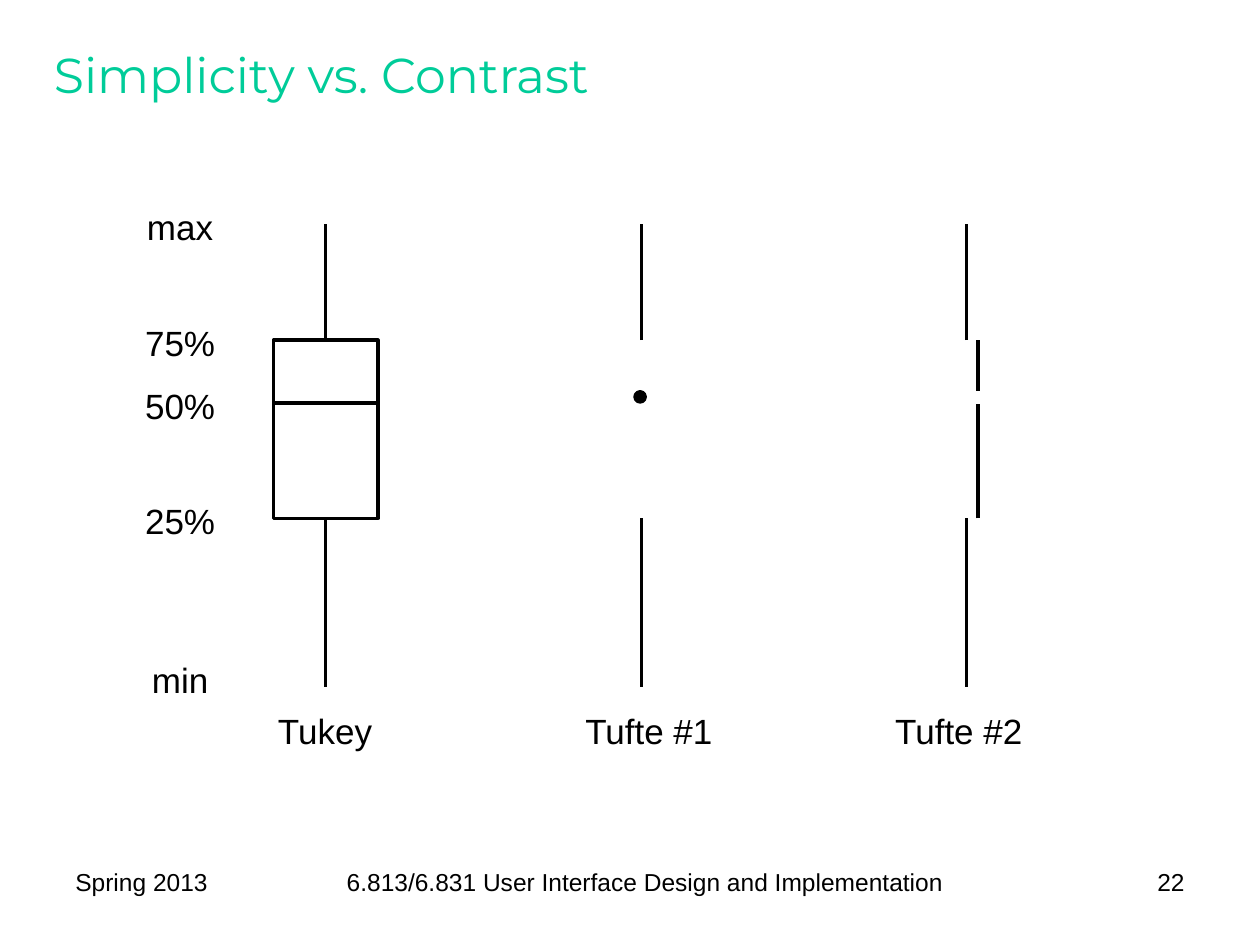
from dataclasses import dataclass

import pptx
import pptx.dml.color
import pptx.enum.shapes
import pptx.enum.text
import pptx.oxml.ns
import pptx.util
from lxml import etree

COLORS = {"title": "00CC99", "ink": "000000", "paper": "FFFFFF"}
LINE_WIDTH = pptx.util.Pt(2)
ALIGN = pptx.enum.text.PP_ALIGN
ANCHOR = pptx.enum.text.MSO_ANCHOR
SHAPE = pptx.enum.shapes.MSO_SHAPE

# The page is a grid of 100 columns by 75 rows
CELL = pptx.util.Inches(0.1)

# Rows of the five statistics, shared by all three plots
MAX, UPPER, MEDIAN, LOWER, MIN = 17.8, 27, 32, 41.15, 54.5
# Columns of the three plots
TUKEY, TUFTE_1, TUFTE_2 = 25.85, 50.9, 76.7
BOX_WIDTH = 8.3
LABEL_HEIGHT = 4.3


@dataclass(frozen=True)
class Label:
    text: str
    column: float
    row: float
    columns: float
    rows: float = LABEL_HEIGHT
    size: float = 20
    font: str = "Arial"
    color: str = "ink"
    align: ALIGN = ALIGN.CENTER
    anchor: ANCHOR = ANCHOR.TOP
    wrap: bool = False


@dataclass(frozen=True)
class Stroke:
    column: float
    start: float
    end: float


def cells(*counts: float) -> list[int]:
    return [round(count * CELL) for count in counts]


def rgb(name: str) -> pptx.dml.color.RGBColor:
    return pptx.dml.color.RGBColor.from_string(COLORS[name])


def draw_label(page, label: Label) -> None:
    box = page.shapes.add_textbox(
        *cells(label.column, label.row, label.columns, label.rows))
    frame = box.text_frame
    frame.word_wrap = label.wrap
    frame.vertical_anchor = label.anchor
    para = frame.paragraphs[0]
    para.text = label.text
    para.alignment = label.align
    para.font.name = label.font
    para.font.size = pptx.util.Pt(label.size)
    para.font.color.rgb = rgb(label.color)


def draw_line(page, x1: float, y1: float, x2: float, y2: float):
    line = page.shapes.add_connector(
        pptx.enum.shapes.MSO_CONNECTOR.STRAIGHT, *cells(x1, y1, x2, y2))
    line.line.color.rgb = rgb("ink")
    line.line.width = LINE_WIDTH
    etree.SubElement(line._element.spPr, pptx.oxml.ns.qn("a:effectLst"))
    return line


def draw_stroke(page, stroke: Stroke):
    return draw_line(page, stroke.column, stroke.start, stroke.column, stroke.end)


def draw_shape(page, kind: SHAPE, center: float, top: float,
               width: float, height: float, fill: str):
    shape = page.shapes.add_shape(
        kind, *cells(center - width / 2, top, width, height))
    shape.shadow.inherit = False
    shape.fill.solid()
    shape.fill.fore_color.rgb = rgb(fill)
    shape.line.color.rgb = rgb("ink")
    shape.line.width = LINE_WIDTH
    return shape


def main() -> None:
    deck = pptx.Presentation()
    deck.slide_width, deck.slide_height = cells(100, 75)
    page = deck.slides.add_slide(deck.slide_layouts[6])

    # Title and footer
    footer = dict(row=68.3, rows=5.2, size=14, wrap=True)
    frame_labels = [
        Label("Simplicity vs. Contrast", 3.3, 1.7, 92.5, 8.3, 28, "Montserrat",
              "title", ALIGN.LEFT, ANCHOR.MIDDLE, True),
        Label("Spring 2013", 5, columns=15, align=ALIGN.LEFT, **footer),
        Label("6.813/6.831 User Interface Design and Implementation",
              20.8, columns=60.8, **footer),
        Label("22", 82.5, columns=12.5, align=ALIGN.RIGHT, **footer),
    ]
    for label in frame_labels:
        draw_label(page, label)

    # Tukey's box with its median
    quartiles = draw_shape(page, SHAPE.RECTANGLE, TUKEY, UPPER,
                           BOX_WIDTH, LOWER - UPPER, "paper")
    draw_line(page, TUKEY - BOX_WIDTH / 2, MEDIAN, TUKEY + BOX_WIDTH / 2, MEDIAN)

    # Whiskers of every plot; Tukey's are joined to the box
    for column in (TUKEY, TUFTE_1, TUFTE_2):
        upper = draw_stroke(page, Stroke(column, UPPER, MAX))
        lower = draw_stroke(page, Stroke(column, LOWER, MIN))
        if column == TUKEY:
            upper.begin_connect(quartiles, 0)
            lower.begin_connect(quartiles, 2)

    # Tufte's medians: a dot, then a gap between two offset strokes
    draw_shape(page, SHAPE.OVAL, TUFTE_1 - 0.1, 31.1, 0.8, 0.8, "ink")
    for start, end in ((UPPER, 31), (LOWER, 32.1)):
        draw_stroke(page, Stroke(TUFTE_2 + 0.9, start, end))

    # Statistic names beside the first plot
    for text, row in (("max", MAX - 2), ("75%", UPPER - 2), ("50%", MEDIAN - 2),
                      ("25%", LOWER - 2), ("min", MIN - 2.7)):
        draw_label(page, Label(text, 10.5, row, 7.6))

    # Plot names
    for text, column, columns in (("Tukey", 21, 9.6), ("Tufte #1", 45.4, 12.2),
                                  ("Tufte #2", 70, 12.2)):
        draw_label(page, Label(text, column, 55.8, columns))

    deck.save("out.pptx")


if __name__ == "__main__":
    main()
